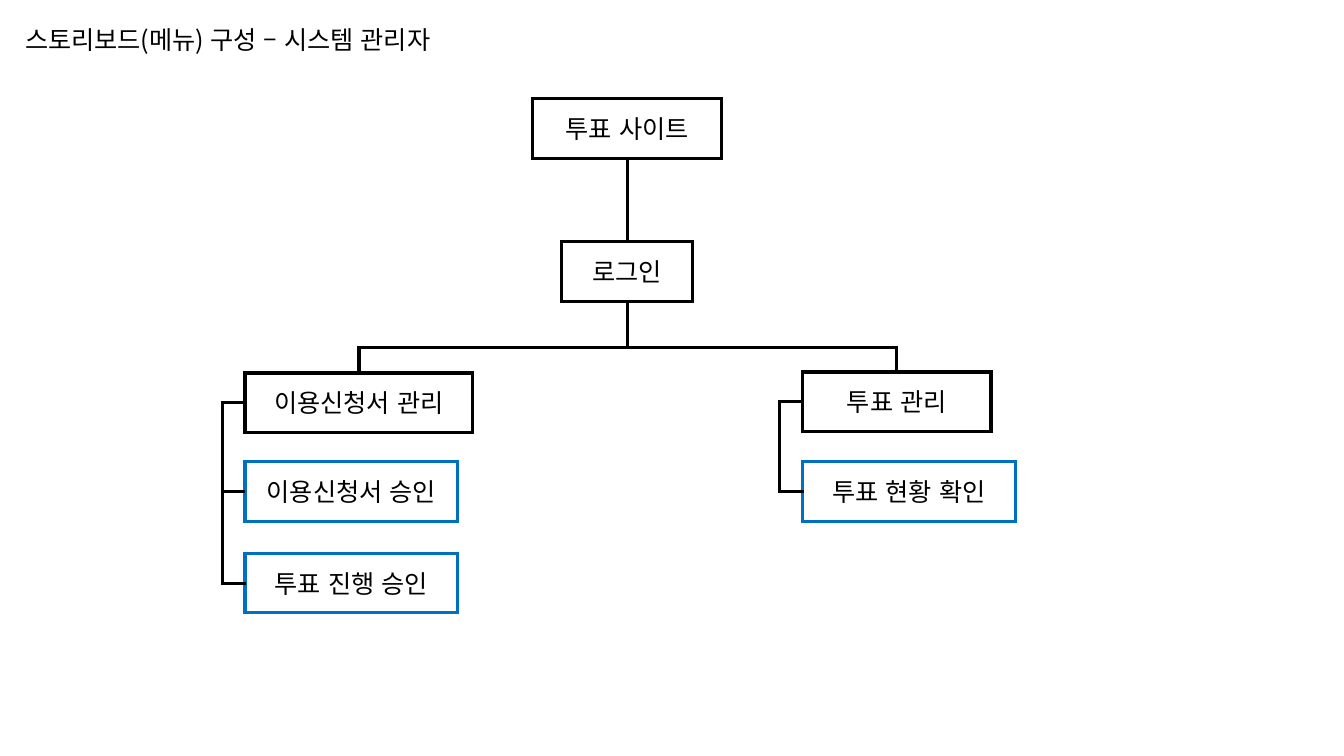
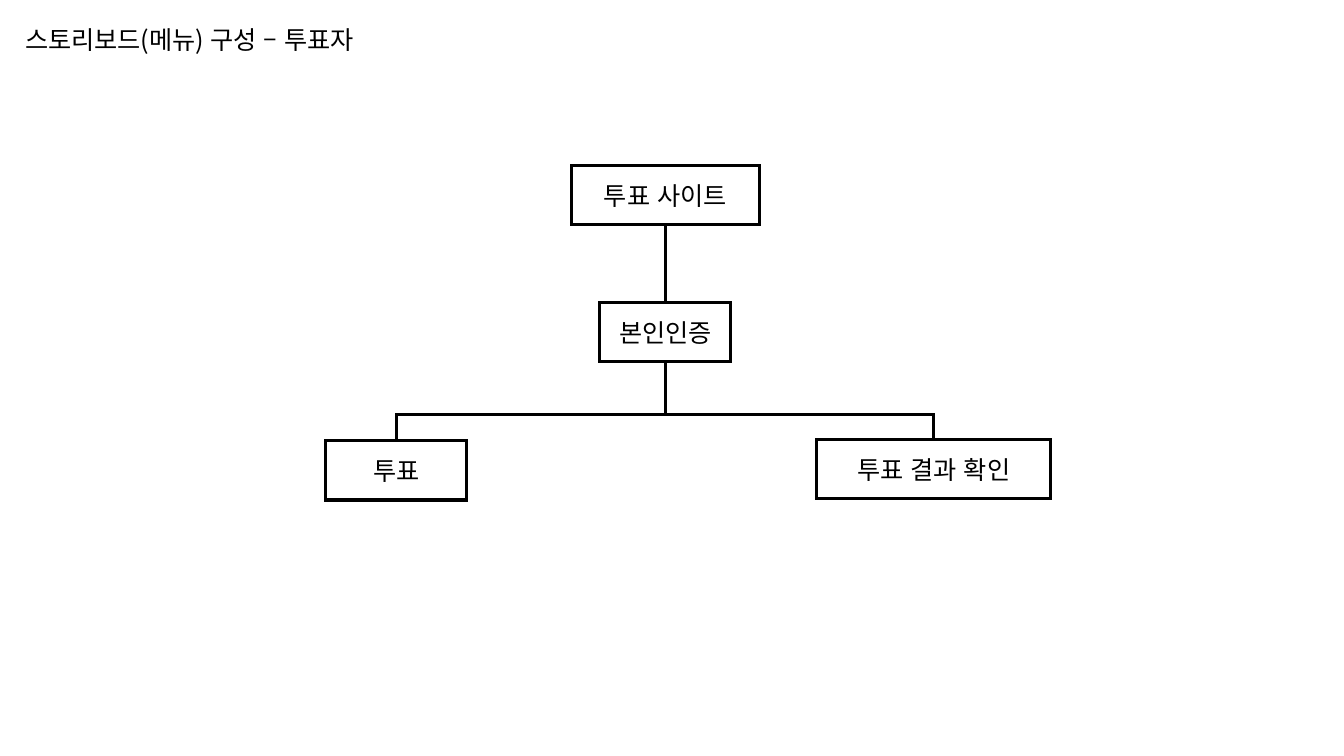
import dataclasses

import pptx
import pptx.dml.color
import pptx.enum.lang
import pptx.enum.shapes
import pptx.enum.text
import pptx.oxml.ns
import pptx.util
from lxml import etree

Inches = pptx.util.Inches
Pt = pptx.util.Pt
qn = pptx.oxml.ns.qn


@dataclasses.dataclass(frozen=True)
class Theme:
    ink: pptx.dml.color.RGBColor = pptx.dml.color.RGBColor(0, 0, 0)
    accent: pptx.dml.color.RGBColor = pptx.dml.color.RGBColor(0x00, 0x70, 0xC0)
    font: str = "Noto Sans CJK KR"
    text_size: float = 18
    line_width: float = 2.25
    box_height: float = 0.59
    child_pitch: float = 0.91
    bus_gap: float = 0.25
    rail_gap: float = 0.23
    bracket_depth: float = 0.01


@dataclasses.dataclass(frozen=True)
class Box:
    left: float
    top: float
    width: float
    height: float

    @property
    def center(self):
        return self.left + self.width / 2

    @property
    def middle(self):
        return self.top + self.height / 2

    @property
    def bottom(self):
        return self.top + self.height

    def lengths(self):
        return [Inches(value) for value in dataclasses.astuple(self)]


@dataclasses.dataclass(frozen=True)
class Branch:
    """A menu group; left and top are measured from the tree area."""
    label: str
    left: float
    top: float
    width: float
    children: tuple = ()
    child_top: float = 3.6
    child_width: float = 2.11


@dataclasses.dataclass(frozen=True)
class Tree:
    """The trunk and gate positions are measured from the tree area."""
    area: Box
    trunk: float
    gate: str
    gate_top: float
    branches: tuple


THEME = Theme()
TITLE_AREA = Box(0.15, 0.19, 5.61, 0.4)
TITLE_START = "스토리보드(메뉴) 구성 – "
ROOT_LABEL = "투표 사이트"
ROOT_WIDTH, GATE_WIDTH = 1.87, 1.3

PAGES = (
    ("시스템 관리자", Tree(
        Box(2.2, 0.98, 7.87, 5.1), trunk=4.02, gate="로그인", gate_top=1.42,
        branches=(
            Branch("이용신청서 관리", 0.23, 2.72, 2.26,
                   ("이용신청서 승인", "투표 진행 승인")),
            Branch("투표 관리", 5.76, 2.71, 1.87, ("투표 현황 확인",)),
        ))),
    ("투표자", Tree(
        Box(3.23, 1.64, 7.19, 3.32), trunk=3.37, gate="본인인증", gate_top=1.36,
        branches=(
            Branch("투표", 0, 2.73, 1.4),
            Branch("투표 결과 확인", 4.87, 2.72, 2.32),
        ))),
)


def set_all(target, values):
    for name, value in values.items():
        setattr(target, name, value)


def write_text(frame, text, align):
    para = frame.paragraphs[0]
    para.alignment = align
    span = para.add_run()
    span.text = text
    set_all(span.font, {"name": THEME.font, "size": Pt(THEME.text_size),
                        "language_id": pptx.enum.lang.MSO_LANGUAGE_ID.KOREAN})
    span.font.color.rgb = THEME.ink
    east_asian = etree.SubElement(span.font._element, qn("a:ea"))
    east_asian.set("typeface", THEME.font)


def add_title(page, area, text):
    frame = page.shapes.add_textbox(*area.lengths()).text_frame
    set_all(frame, {"word_wrap": True,
                    "auto_size": pptx.enum.text.MSO_AUTO_SIZE.SHAPE_TO_FIT_TEXT})
    write_text(frame, text, pptx.enum.text.PP_ALIGN.LEFT)


def set_line(line, color):
    """Give a line its colour and width, with sharp corners."""
    line.color.rgb = color
    line.width = Pt(THEME.line_width)
    etree.SubElement(line._get_or_add_ln(), qn("a:miter")).set("lim", "800000")


def add_node(page, box, text, color=THEME.ink):
    node = page.shapes.add_shape(
        pptx.enum.shapes.MSO_SHAPE.RECTANGLE, *box.lengths())
    node.shadow.inherit = False
    node.fill.background()
    set_line(node.line, color)
    set_all(node.text_frame, {
        "word_wrap": True,
        "vertical_anchor": pptx.enum.text.MSO_ANCHOR.MIDDLE})
    write_text(node.text_frame, text, pptx.enum.text.PP_ALIGN.CENTER)


def add_link(page, *ends, kind=pptx.enum.shapes.MSO_CONNECTOR.STRAIGHT):
    link = page.shapes.add_connector(kind, *map(Inches, ends))
    set_line(link.line, THEME.ink)
    etree.SubElement(link._element.spPr, qn("a:effectLst"))
    return link


def add_bracket(page, center, middle, length, reach, degrees, flipped=False):
    """Draw a three-part elbow, turned about its centre, that bulges by reach."""
    depth = THEME.bracket_depth
    ends = [(center - depth / 2, middle - length / 2),
            (center + depth / 2, middle + length / 2)]
    if flipped:
        ends.reverse()
    link = add_link(page, *ends[0], *ends[1],
                    kind=pptx.enum.shapes.MSO_CONNECTOR.ELBOW)
    properties = link._element.spPr
    properties.find(qn("a:xfrm")).set("rot", str(degrees * 60000))
    geometry = properties.find(qn("a:prstGeom"))
    guides = geometry.find(qn("a:avLst"))
    if guides is None:
        guides = etree.SubElement(geometry, qn("a:avLst"))
    guide = etree.SubElement(guides, qn("a:gd"))
    guide.set("name", "adj1")
    guide.set("fmla", f"val {round(reach / depth * 100000)}")


def add_children(page, head, branch, top):
    """Stack the child nodes below the head and tie them to a rail at its left."""
    boxes = [Box(head.left, top + row * THEME.child_pitch,
                 branch.child_width, head.height)
             for row in range(len(branch.children))]
    for box, label in zip(boxes, branch.children):
        add_node(page, box, label, THEME.accent)
    for box in boxes[:-1]:
        add_link(page, head.left, box.middle,
                 head.left - THEME.rail_gap, box.middle)
    if boxes:
        last = boxes[-1].middle
        depth = THEME.bracket_depth
        add_bracket(page, head.left + depth / 2, (head.middle + last) / 2,
                    last - head.middle, THEME.rail_gap + depth, 180)


def add_tree(page, tree):
    area = tree.area
    trunk = area.left + tree.trunk
    root = Box(trunk - ROOT_WIDTH / 2, area.top, ROOT_WIDTH, THEME.box_height)
    gate = Box(trunk - GATE_WIDTH / 2, area.top + tree.gate_top,
               GATE_WIDTH, THEME.box_height)
    heads = [Box(area.left + branch.left, area.top + branch.top,
                 branch.width, THEME.box_height) for branch in tree.branches]
    first, last = heads[0], heads[-1]
    bus = last.top - THEME.bus_gap

    add_node(page, root, ROOT_LABEL)
    add_node(page, gate, tree.gate)
    for head, branch in zip(heads, tree.branches):
        add_node(page, head, branch.label)
        add_children(page, head, branch, area.top + branch.child_top)
    add_link(page, trunk, root.bottom, trunk, gate.top)
    add_link(page, trunk, gate.bottom, trunk, bus)
    add_bracket(page, (first.center + last.center) / 2,
                last.top - THEME.bracket_depth / 2,
                last.center - first.center, THEME.bus_gap, 90, flipped=True)


def main():
    deck = pptx.Presentation()
    set_all(deck, {"slide_width": Inches(13.33), "slide_height": Inches(7.5)})
    blank = deck.slide_layouts[6]
    for role, tree in PAGES:
        page = deck.slides.add_slide(blank)
        add_title(page, TITLE_AREA, TITLE_START + role)
        add_tree(page, tree)
    deck.save("out.pptx")


if __name__ == "__main__":
    main()
